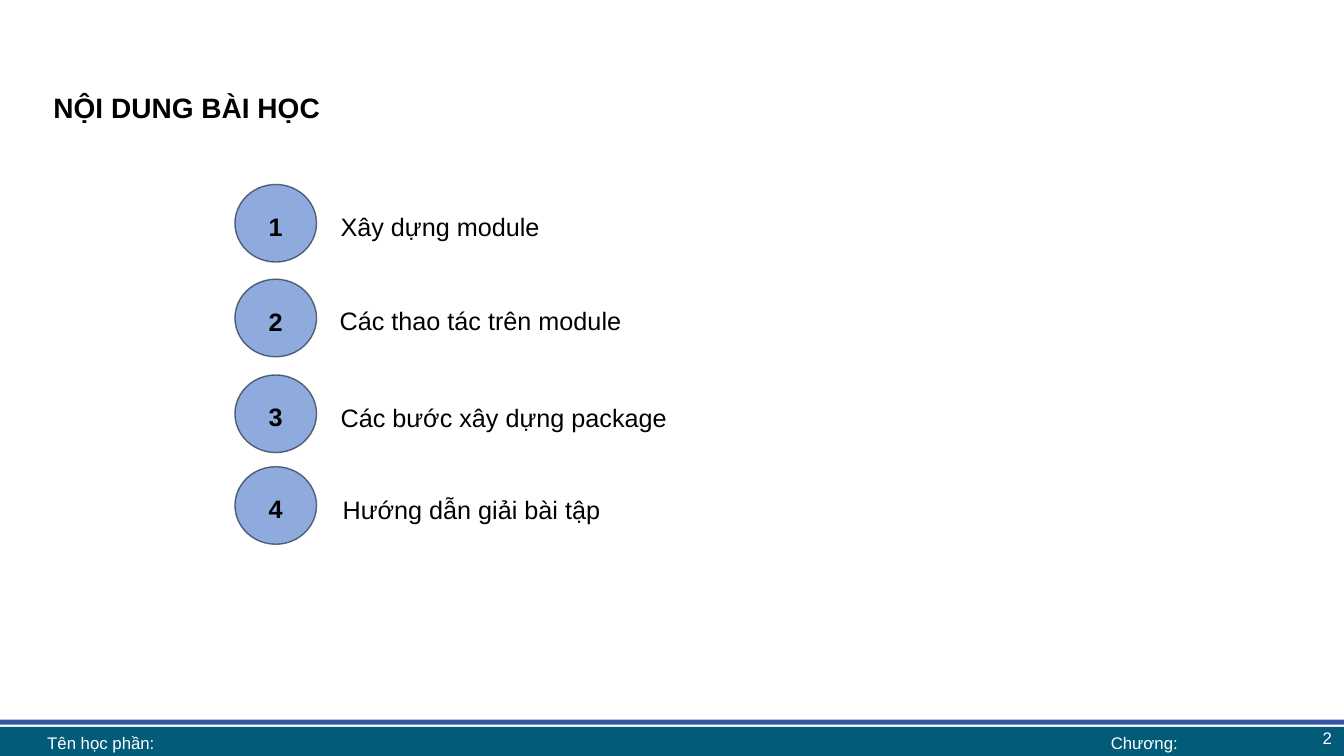
import pptx
import pptx.util
import pptx.dml.color
import pptx.enum.shapes
import pptx.enum.text
import pptx.oxml
import pptx.oxml.ns
from dataclasses import dataclass
from typing import Any

Inches = pptx.util.Inches
Pt = pptx.util.Pt
RGBColor = pptx.dml.color.RGBColor
Kind = pptx.enum.shapes.MSO_SHAPE
Align = pptx.enum.text.PP_ALIGN
Anchor = pptx.enum.text.MSO_ANCHOR
Fit = pptx.enum.text.MSO_AUTO_SIZE

BLACK = RGBColor(0x00, 0x00, 0x00)
WHITE = RGBColor(0xFF, 0xFF, 0xFF)
TEAL = RGBColor(0x02, 0x5B, 0x79)
BLUE = RGBColor(0x32, 0x56, 0xA4)
SKY = RGBColor(0x8F, 0xAA, 0xDC)
NAVY = RGBColor(0x08, 0x17, 0x2E)

HEAD = {"alignment": Align.JUSTIFY, "line_spacing": 1.2, "space_before": Pt(5)}
DIGIT = HEAD | {"alignment": Align.CENTER}
ENTRY = HEAD | {"line_spacing": Pt(25)}
MIDDLE = {"vertical_anchor": Anchor.MIDDLE}
FLAT = MIDDLE | {"margin_top": 0, "margin_bottom": 0}


@dataclass
class Box:
    left: float
    top: float
    width: float
    height: float

    def args(self) -> list[int]:
        return [Inches(n) for n in (self.left, self.top, self.width, self.height)]


@dataclass
class Topic:
    label: str
    disc: float
    text: Box


@dataclass
class Note:
    label: str
    box: Box
    align: Any
    frame: dict[str, Any]


TOPICS = [
    Topic("Xây dựng module", 1.83, Box(3.28, 2, 7.57, 0.42)),
    Topic("Các thao tác trên module", 2.77, Box(3.27, 2.93, 7.62, 0.42)),
    Topic("Các bước xây dựng package", 3.72, Box(3.28, 3.89, 5.06, 0.42)),
    Topic("Hướng dẫn giải bài tập", 4.63, Box(3.3, 4.81, 6.2, 0.42)),
]
NOTES = [
    Note("2", Box(10.31, 7.14, 3, 0.35), Align.RIGHT, MIDDLE),
    Note("Chương:", Box(10.6, 7.21, 1.5, 0.31), Align.CENTER, FLAT),
    Note("Tên học phần:", Box(0.37, 7.21, 10.24, 0.31), Align.LEFT, FLAT),
]


def apply(item: Any, values: dict[str, Any]) -> None:
    for name, value in values.items():
        setattr(item, name, value)


def write(shape: Any, label: str, size: int, color: RGBColor, para: dict[str, Any],
          frame: dict[str, Any], bold: bool = False) -> None:
    body = shape.text_frame
    apply(body, {"word_wrap": True, "auto_size": Fit.NONE} | frame)
    line = body.paragraphs[0]
    apply(line, para)
    run = line.add_run()
    run.text = label
    apply(run.font, {"name": "Arial", "size": Pt(size), "bold": bold})
    run.font.color.rgb = color


def paint(slide: Any, kind: Any, box: Box, color: RGBColor) -> Any:
    shape = slide.shapes.add_shape(kind, *box.args())
    shape.shadow.inherit = False
    shape.fill.solid()
    shape.fill.fore_color.rgb = color
    shape.line.fill.background()
    return shape


def badge(slide: Any, label: str, top: float) -> None:
    disc = paint(slide, Kind.OVAL, Box(2.33, top, 0.81, 0.77), SKY)
    disc.line.color.rgb = NAVY
    disc.line.width = Pt(1)
    tint = disc.line._ln.find(".//" + pptx.oxml.ns.qn("a:srgbClr"))
    alpha = pptx.oxml.parse_xml(f'<a:alpha {pptx.oxml.ns.nsdecls("a")} val="60000"/>')
    tint.append(alpha)
    write(disc, label, 18, BLACK, DIGIT, MIDDLE, True)


def main() -> None:
    deck = pptx.Presentation()
    apply(deck, {"slide_width": Inches(13.33), "slide_height": Inches(7.5)})
    slide = deck.slides.add_slide(deck.slide_layouts[5])

    paint(slide, Kind.RECTANGLE, Box(0, 7.21, 13.33, 0.31), TEAL)
    paint(slide, Kind.RECTANGLE, Box(-0.01, 7.14, 13.36, 0.05), BLUE)

    title = slide.shapes.title
    apply(title, dict(zip(("left", "top", "width", "height"),
                          Box(0.43, 0.78, 12.47, 0.87).args())))
    write(title, "NỘI DUNG BÀI HỌC", 20, BLACK, HEAD, {"vertical_anchor": Anchor.TOP}, True)

    for rank, topic in enumerate(TOPICS, 1):
        badge(slide, str(rank), topic.disc)
        text = slide.shapes.add_textbox(*topic.text.args())
        write(text, topic.label, 18, BLACK, ENTRY, {"auto_size": Fit.SHAPE_TO_FIT_TEXT})

    for note in NOTES:
        text = slide.shapes.add_textbox(*note.box.args())
        write(text, note.label, 12, WHITE, {"alignment": note.align}, note.frame)

    deck.save("out.pptx")


if __name__ == "__main__":
    main()
